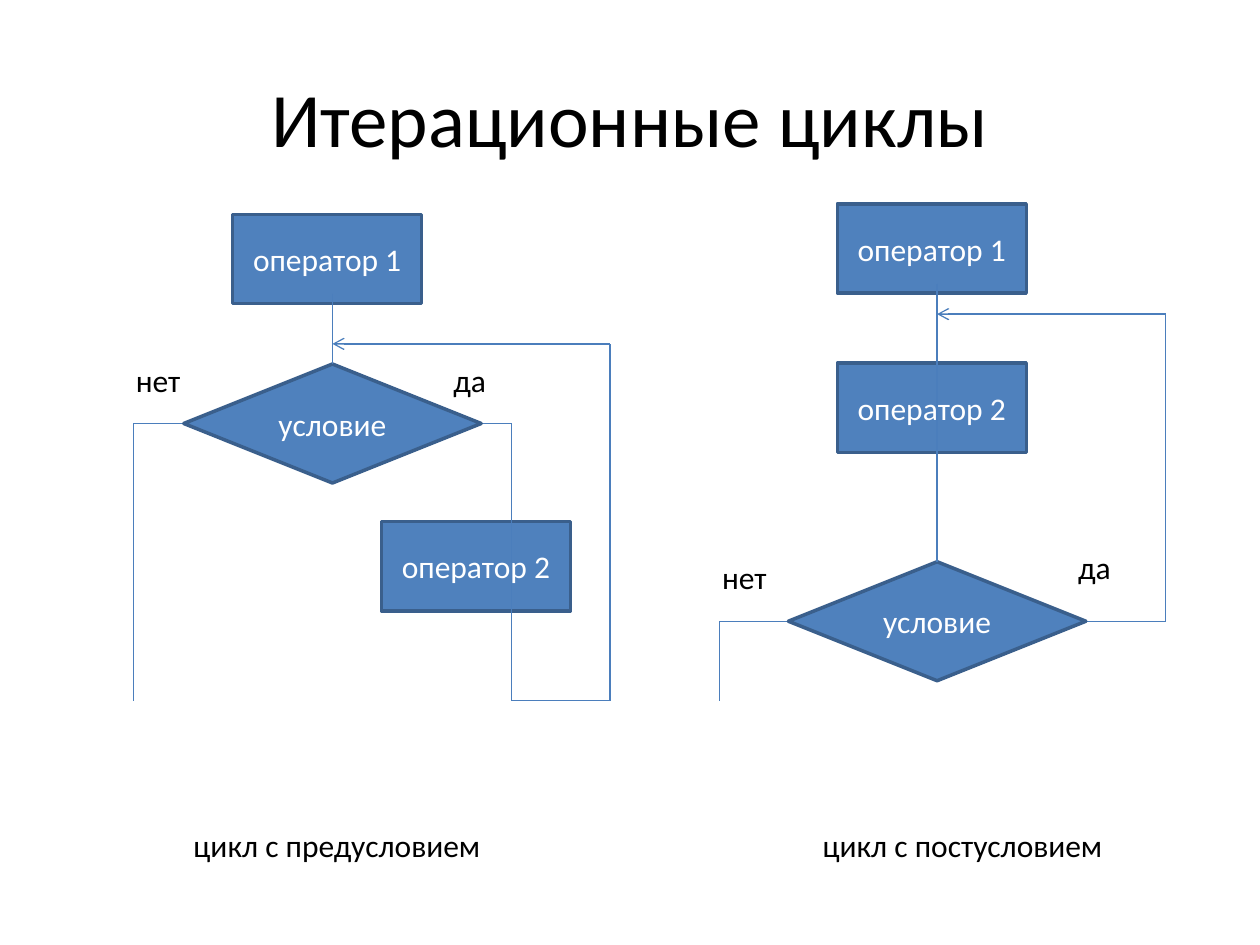
"""Builds a slide with flowcharts of the pre-condition and post-condition loops."""
import pptx
import pptx.dml.color
import pptx.enum.shapes
import pptx.enum.text
import pptx.oxml
import pptx.oxml.ns
import pptx.util

Pt = pptx.util.Pt
Shapes = pptx.enum.shapes.MSO_SHAPE
Align = pptx.enum.text.PP_ALIGN
Anchor = pptx.enum.text.MSO_ANCHOR


def color(value):
    return pptx.dml.color.RGBColor.from_string(value)


class Flowchart:
    font = "Calibri"
    fill, outline, wire = "4F81BD", "3A5F8C", "4B7EBC"
    light, dark = "FFFFFF", "000000"
    operator_size = (108, 51)
    condition_size = (170, 68)

    def __init__(self, slide):
        self.slide = slide

    def set_text(self, shape, text, ink, size=18, align=Align.CENTER, anchor=Anchor.MIDDLE):
        frame = shape.text_frame
        for name, value in {"word_wrap": True, "vertical_anchor": anchor}.items():
            setattr(frame, name, value)
        paragraph = frame.paragraphs[0]
        paragraph.alignment = align
        run = paragraph.add_run()
        run.text = text
        for name, value in {"name": self.font, "size": Pt(size)}.items():
            setattr(run.font, name, value)
        run.font.color.rgb = color(ink)

    def node(self, kind, text, left, top, size):
        shape = self.slide.shapes.add_shape(kind, Pt(left), Pt(top), *map(Pt, size))
        shape.shadow.inherit = False
        shape.fill.solid()
        shape.fill.fore_color.rgb = color(self.fill)
        shape.line.color.rgb = color(self.outline)
        shape.line.width = Pt(2)
        self.set_text(shape, text, self.light)
        return shape

    def operator(self, text, left, top):
        return self.node(Shapes.FLOWCHART_PROCESS, text, left, top, self.operator_size)

    def condition(self, center, middle):
        width, height = self.condition_size
        return self.node(Shapes.FLOWCHART_DECISION, "условие",
                         center - width / 2, middle - height / 2, self.condition_size)

    def label(self, text, left, top, width=45.5, height=29, **style):
        style = {"align": Align.LEFT, "anchor": Anchor.TOP, **style}
        box = self.slide.shapes.add_textbox(Pt(left), Pt(top), Pt(width), Pt(height))
        self.set_text(box, text, self.dark, **style)

    def line(self, start, end, arrow=False):
        connector = self.slide.shapes.add_connector(
            pptx.enum.shapes.MSO_CONNECTOR.STRAIGHT, *map(Pt, start + end))
        connector.line.color.rgb = color(self.wire)
        connector.line.width = Pt(0.75)
        if arrow:
            tail = pptx.oxml.parse_xml(
                f'<a:tailEnd {pptx.oxml.ns.nsdecls("a")} type="arrow"/>')
            connector.get_or_add_ln().append(tail)
        effects = pptx.oxml.parse_xml(f'<a:effectLst {pptx.oxml.ns.nsdecls("a")}/>')
        connector._element.spPr.append(effects)
        return connector

    def route(self, points, arrow=False):
        for index, (start, end) in enumerate(zip(points, points[1:]), 2):
            self.line(start, end, arrow and index == len(points))


def precondition_loop(chart, bottom):
    center, middle = 190, 242
    no_x, yes_x, return_x, return_y = 76.5, 292.5, 348.5, 196.5
    chart.line((yes_x, middle), (no_x, middle))
    chart.operator("оператор 2", 218, 298)
    condition = chart.condition(center, middle)
    chart.operator("оператор 1", center - 57, 122.5)
    chart.line((center, 168), (center, 208)).end_connect(condition, 0)
    chart.line((no_x, middle), (no_x, bottom))
    chart.route([(yes_x, middle), (yes_x, bottom), (return_x, bottom),
                 (return_x, return_y), (center, return_y)], arrow=True)
    chart.label("да", 252, 202.5)
    chart.label("нет", 70.5, 202.5)


def postcondition_loop(chart, bottom):
    center, middle = 535.5, 355
    no_x, return_x, return_y = 411, 666, 179.5
    chart.line((return_x, middle), (no_x, middle))
    chart.operator("оператор 1", center - 57, 116.5)
    chart.operator("оператор 2", center - 57, 207.5)
    condition = chart.condition(center, middle)
    chart.line((center, 162), (center, 321)).end_connect(condition, 0)
    chart.line((no_x, middle), (no_x, bottom))
    chart.route([(return_x, middle), (return_x, return_y), (center, return_y)], arrow=True)
    chart.label("да", 609, 309.5)
    chart.label("нет", 405.5, 315.5)


def main():
    presentation = pptx.Presentation()
    presentation.slide_width, presentation.slide_height = Pt(720), Pt(540)
    chart = Flowchart(presentation.slides.add_slide(presentation.slide_layouts[6]))
    chart.label("Итерационные циклы", 36, 21.6, 648, 90,
                size=44, align=Align.CENTER, anchor=Anchor.MIDDLE)
    for draw_loop in (precondition_loop, postcondition_loop):
        draw_loop(chart, bottom=400.5)
    for text, left in (("цикл с предусловием", 36.5), ("цикл с постусловием", 394)):
        chart.label(text, left, 468.5, 312, align=Align.CENTER)
    presentation.save("out.pptx")


if __name__ == "__main__":
    main()
